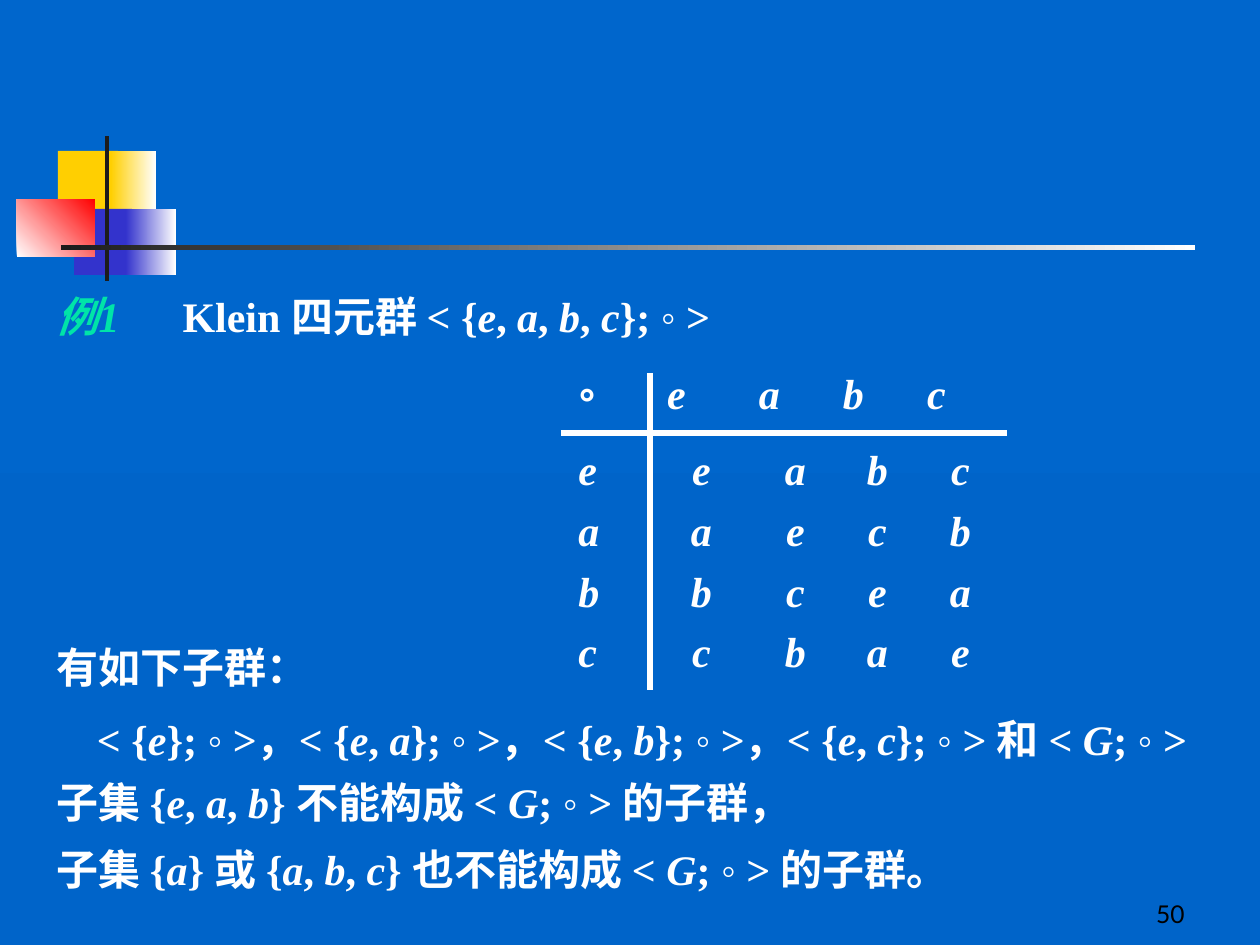
from dataclasses import dataclass

from lxml.etree import SubElement
from pptx import Presentation
from pptx.dml.color import RGBColor as Rgb
from pptx.enum.shapes import MSO_CONNECTOR as Conn, MSO_SHAPE as Shape
from pptx.enum.text import MSO_ANCHOR as Anchor, MSO_AUTO_SIZE as Fit, PP_ALIGN as Align
from pptx.oxml.ns import qn
from pptx.util import Emu, Pt

SCALE = 914400 / 126


@dataclass(frozen=True)
class Theme:
    sky: str = "0066CC"
    deep: str = "0064C9"
    gold: str = "FFCF01"
    blue: str = "3333CC"
    red: str = "FF0000"
    dark: str = "1C1C1C"
    white: str = "FFFFFF"
    green: str = "00E4A8"
    black: str = "000000"
    serif: str = "Times New Roman"
    sans: str = "Lato"
    text: int = 24
    page: int = 14
    rule: int = 3


THEME = Theme()


def px(n):
    return Emu(round(n * SCALE))


def rgb(code):
    return Rgb.from_string(code)


def blend(fill, start, end, angle):
    fill.gradient()
    fill.gradient_angle = angle
    for stop, code in zip(fill.gradient_stops, (start, end)):
        stop.color.rgb = rgb(code)


def add_bar(slide, box, start, end=None, angle=0):
    """Add a rectangle, plain or fading from start to end."""
    bar = slide.shapes.add_shape(Shape.RECTANGLE, *map(px, box))
    bar.shadow.inherit = False
    bar.line.fill.background()
    if end:
        blend(bar.fill, start, end, angle)
    else:
        bar.fill.solid()
        bar.fill.fore_color.rgb = rgb(start)


def add_rule(slide, *ends):
    rule = slide.shapes.add_connector(Conn.STRAIGHT, *map(px, ends))
    rule.line.color.rgb = rgb(THEME.white)
    rule.line.width = Pt(THEME.rule)
    SubElement(rule._element.spPr, qn("a:effectLst"))


def add_frame(slide, box):
    frame = slide.shapes.add_textbox(*map(px, box)).text_frame
    frame.word_wrap = True
    return frame


def set_tabs(para, stops, kind):
    tabs = SubElement(para._p.get_or_add_pPr(), qn("a:tabLst"))
    for stop in stops:
        SubElement(tabs, qn("a:tab"), pos=str(px(stop)), algn=kind)


def no_bullet(para):
    props = para._p.get_or_add_pPr()
    props.set("marL", "0")
    props.set("indent", "0")
    SubElement(props, qn("a:buNone"))


def style(para, name, size, code, bold):
    font = para.font
    font.name, font.size, font.bold = name, Pt(size), bold
    font.color.rgb = rgb(code)


def write(frame, text, gap=0, lead=1, tabs=(), kind="l", plain=False):
    """Add a paragraph; asterisks in text switch italics on and off."""
    first = frame.paragraphs[0]
    para = frame.add_paragraph() if first.runs else first
    para.space_before = Pt(gap)
    para.line_spacing = lead
    if plain:
        no_bullet(para)
    if tabs:
        set_tabs(para, tabs, kind)
    style(para, THEME.serif, THEME.text, THEME.white, True)
    for i, part in enumerate(text.split("*")):
        if part:
            run = para.add_run()
            run.text = part
            run.font.italic = i % 2 == 1
    return para


def add_logo(slide):
    t = THEME
    add_bar(slide, (58, 151, 60, 66), t.gold)
    add_bar(slide, (111, 151, 45, 66), t.gold, t.white)
    add_bar(slide, (74, 209, 58, 66), t.blue)
    add_bar(slide, (126, 209, 50, 66), t.blue, t.white)
    add_bar(slide, (17, 199, 78, 58), t.white, t.red, 45)
    add_bar(slide, (105, 136, 4, 145), t.dark)
    add_bar(slide, (61, 245, 1134, 5), t.dark, t.white)


def add_body(slide):
    slide.shapes.title._element.getparent().remove(slide.shapes.title._element)
    body = slide.placeholders[1]
    body.left, body.top, body.width, body.height = map(px, (44, 284, 1196, 542))
    frame = body.text_frame
    frame.auto_size = Fit.NONE
    head = write(frame, "*例1*\tKlein 四元群 < {*e*, *a*, *b*, *c*}; ◦ >",
                 tabs=[105], plain=True)
    head.runs[0].font.color.rgb = rgb(THEME.green)
    write(frame, "有如下子群：", 172, plain=True)
    pairs = "，".join(f"< {{*e*, *{x}*}}; ◦ >" for x in "abc")
    groups = write(frame, f"< {{*e*}}; ◦ >，{pairs} 和 < *G*; ◦ >", 12, plain=True)
    groups.alignment = Align.CENTER


def add_notes(slide):
    frame = add_frame(slide, (44, 780, 1125, 120))
    write(frame, "子集 {*e*, *a*, *b*} 不能构成 < *G*; ◦ > 的子群，", lead=0.8)
    write(frame, "子集 {*a*} 或 {*a*, *b*, *c*} 也不能构成 < *G*; ◦ > 的子群。", 15, 0.8)


def add_cayley(slide):
    """Add the operation table of the Klein group."""
    add_rule(slide, 561, 433, 1007, 433)
    add_rule(slide, 650, 373, 650, 690)
    frame = add_frame(slide, (566, 346, 451, 338))
    head = write(frame, "◦*\te\ta\tb\tc*", lead=1.3, tabs=[98, 191, 275, 358], kind="ctr")
    head.runs[0].font.name = THEME.sans
    for i, row in enumerate(("eeabc", "aaecb", "bbcea", "ccbae")):
        cells = "\t".join(row)
        write(frame, f"*{cells}*", 6, 1 if i else 1.3, [123, 217, 299, 382], "ctr")


def add_page(slide):
    frame = add_frame(slide, (935, 872, 262, 63))
    frame.vertical_anchor = Anchor.BOTTOM
    para = frame.paragraphs[0]
    para.alignment = Align.RIGHT
    style(para, THEME.sans, THEME.page, THEME.black, False)
    para.add_run().text = "50"


def main():
    deck = Presentation()
    deck.slide_width, deck.slide_height = px(1260), px(945)
    slide = deck.slides.add_slide(deck.slide_layouts[1])
    blend(slide.background.fill, THEME.sky, THEME.deep, 270)
    add_logo(slide)
    add_page(slide)
    add_body(slide)
    add_notes(slide)
    add_cayley(slide)
    deck.save("out.pptx")


if __name__ == "__main__":
    main()
